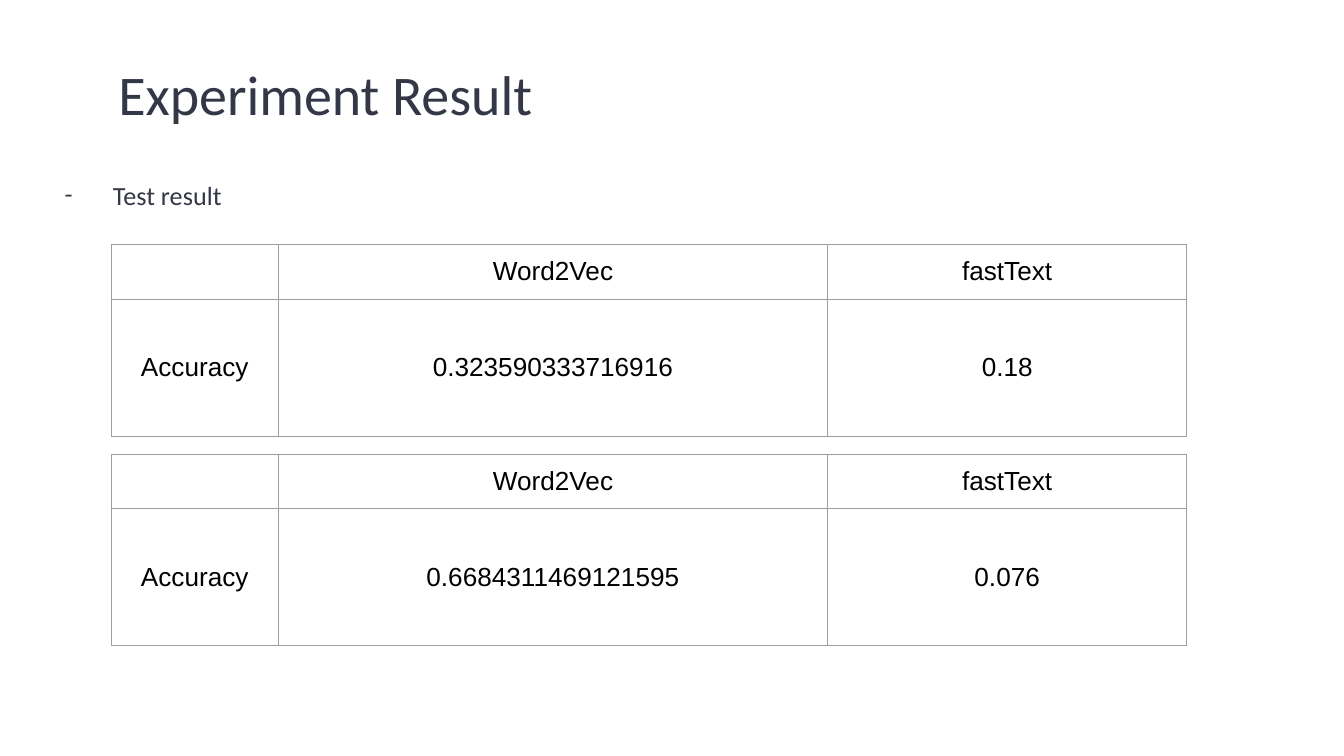
import pptx
import pptx.dml.color
import pptx.enum.text
import pptx.oxml.ns
import pptx.util
from lxml import etree

Pt = pptx.util.Pt
ALIGN = pptx.enum.text.PP_ALIGN
ANCHOR = pptx.enum.text.MSO_ANCHOR
qn = pptx.oxml.ns.qn

COLORS = {"heading": "333746", "bullet": "3D4144", "cell": "000000", "border": "9E9E9E"}
COLUMN_WIDTHS = (89.28, 294.48, 192.24)
ROW_HEIGHTS = (26.64, 73.44)
TABLE_LEFT, TABLE_TOP, TABLE_PITCH = 59.76, 131.04, 112.32
RESULTS = (("0.323590333716916", "0.18"), ("0.6684311469121595", "0.076"))


def write_text(frame, text, *, size, font, color, align=ALIGN.LEFT, line_spacing=1.0):
    paragraph = frame.paragraphs[0]
    paragraph.alignment = align
    paragraph.line_spacing = line_spacing
    paragraph.space_before = Pt(0)
    run = paragraph.add_run()
    run.text = text
    run.font.size = Pt(size)
    run.font.name = font
    run.font.color.rgb = pptx.dml.color.RGBColor.from_string(COLORS[color])
    return paragraph


def add_color(parent, color):
    etree.SubElement(parent, qn("a:srgbClr"), val=COLORS[color])


def add_dash_bullet(paragraph, indent, hanging):
    properties = paragraph._p.get_or_add_pPr()
    properties.set("marL", str(Pt(indent)))
    properties.set("indent", str(-Pt(hanging)))
    add_color(etree.SubElement(properties, qn("a:buClr")), "bullet")
    etree.SubElement(properties, qn("a:buFont"), typeface="Calibri")
    etree.SubElement(properties, qn("a:buChar"), char="-")


def fill_placeholder(shape, text, size, left, top, width, height):
    shape.left, shape.top, shape.width, shape.height = map(Pt, (left, top, width, height))
    frame = shape.text_frame
    frame.auto_size = pptx.enum.text.MSO_AUTO_SIZE.NONE
    frame.word_wrap = True
    frame.vertical_anchor = ANCHOR.TOP
    frame.margin_left = frame.margin_right = Pt(7.2)
    frame.margin_top = frame.margin_bottom = Pt(7.2)
    return write_text(frame, text, size=size, font="Calibri", color="heading", line_spacing=1.15)


def style_cell(cell):
    """Give the cell four thin borders and no fill."""
    properties = cell._tc.get_or_add_tcPr()
    for side in ("L", "R", "T", "B"):
        line = etree.SubElement(properties, qn(f"a:ln{side}"), w=str(Pt(0.75)))
        add_color(etree.SubElement(line, qn("a:solidFill")), "border")
    cell.fill.background()
    cell.vertical_anchor = ANCHOR.MIDDLE


def add_result_table(slide, values, left, top):
    rows = (("", "Word2Vec", "fastText"), ("Accuracy", *values))
    table = slide.shapes.add_table(
        len(rows), len(COLUMN_WIDTHS), Pt(left), Pt(top),
        Pt(sum(COLUMN_WIDTHS)), Pt(sum(ROW_HEIGHTS)),
    ).table
    table.first_row = table.horz_banding = False
    for column, width in zip(table.columns, COLUMN_WIDTHS):
        column.width = Pt(width)
    for row, height, texts in zip(table.rows, ROW_HEIGHTS, rows):
        row.height = Pt(height)
        for cell, text in zip(row.cells, texts):
            style_cell(cell)
            if text:
                write_text(cell.text_frame, text, size=14, font="Arial",
                           color="cell", align=ALIGN.CENTER)


def build_result_slide(presentation):
    slide = presentation.slides.add_slide(presentation.slide_layouts[1])
    fill_placeholder(slide.shapes.title, "Experiment Result", 30, 56.16, 19.44, 607.68, 55.44)
    item = fill_placeholder(slide.placeholders[1], "Test result", 14, 17.28, 86.4, 355.68, 36.72)
    add_dash_bullet(item, indent=36, hanging=25.92)
    for index, values in enumerate(RESULTS):
        add_result_table(slide, values, TABLE_LEFT, TABLE_TOP + index * TABLE_PITCH)


def main():
    presentation = pptx.Presentation()
    presentation.slide_width = Pt(720)
    presentation.slide_height = Pt(405)
    build_result_slide(presentation)
    presentation.save("out.pptx")


if __name__ == "__main__":
    main()
